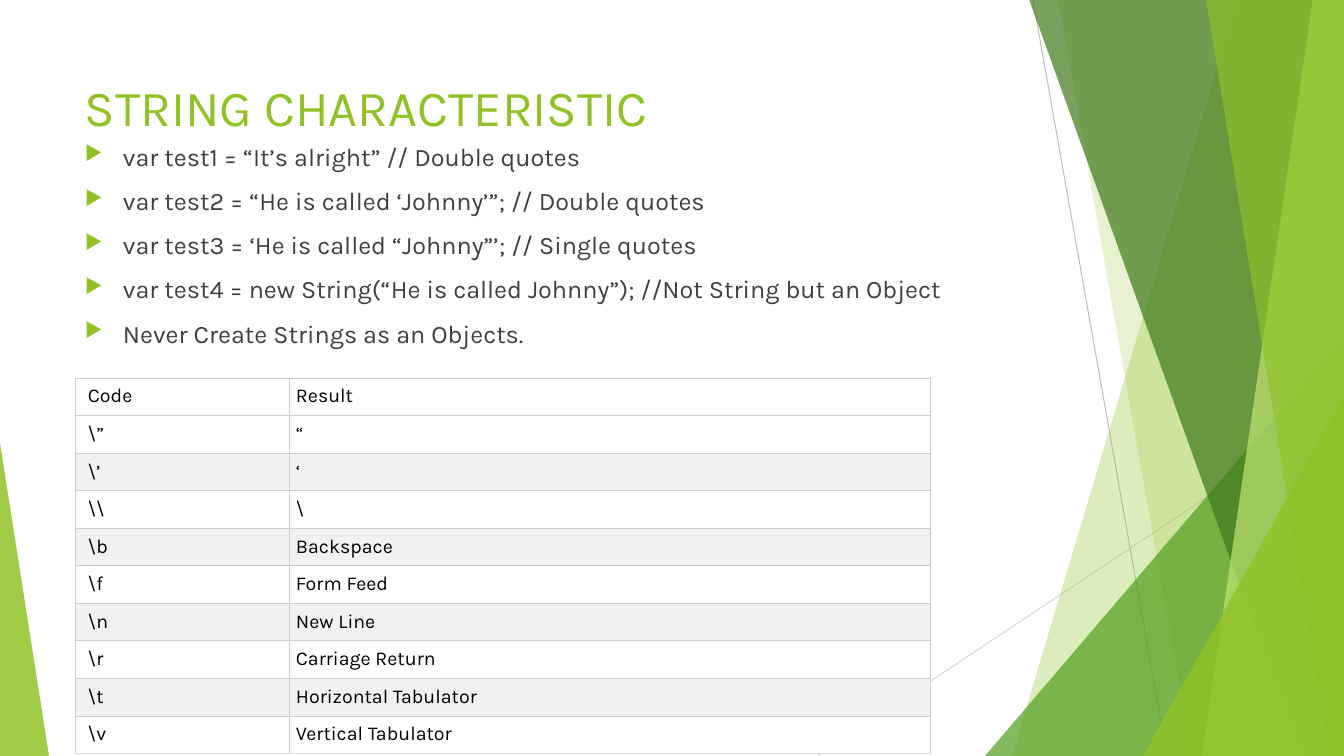
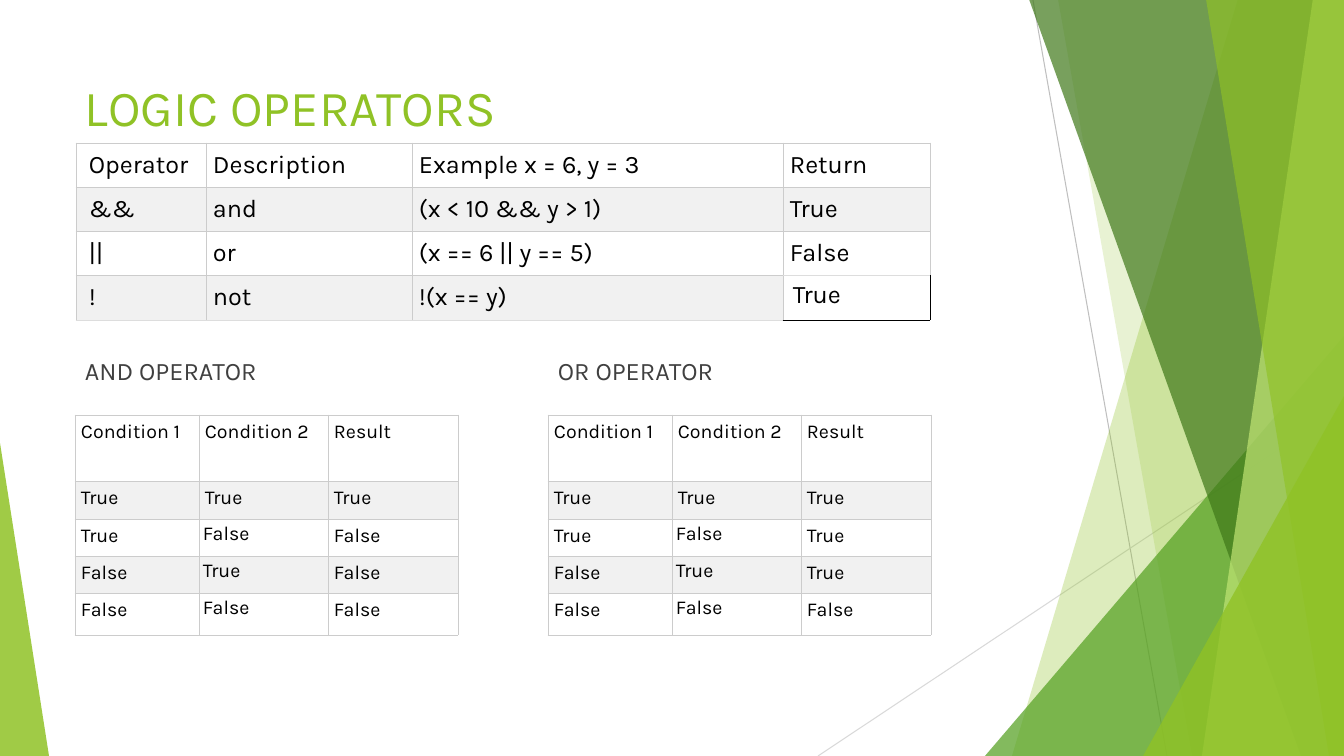
from dataclasses import dataclass

from lxml.etree import SubElement
from pptx import Presentation
from pptx.dml.color import RGBColor
from pptx.enum.shapes import MSO_CONNECTOR as Connector, MSO_SHAPE as Shape
from pptx.enum.text import MSO_ANCHOR as Anchor
from pptx.oxml.ns import qn
from pptx.oxml.xmlchemy import OxmlElement
from pptx.util import Emu, Pt

WIDTH, HEIGHT = 1344, 756
SCALE = 914400 / 100.8
SIDES = ("a:lnL", "a:lnR", "a:lnT", "a:lnB")


def px(length):
    """Turn pixels into EMU."""
    return Emu(round(length * SCALE))


@dataclass(frozen=True)
class Theme:
    """Colours, font and type sizes shared by the slides."""
    font: str = "Karla"
    title_size: int = 36
    body_size: int = 18
    small_size: int = 14
    lime: str = "90C226"
    leaf: str = "54A021"
    forest: str = "3F7819"
    pale: str = "C0E474"
    text: str = "404040"
    black: str = "000000"
    white: str = "FFFFFF"
    band: str = "F1F1F1"
    grid: str = "CCCCCC"
    grid_end: str = "DDDDDD"
    steep_line: str = "BFBFBF"
    flat_line: str = "D9D9D9"


class Deck:
    """Hold the theme and the current slide, and draw each kind of element."""

    def __init__(self, theme):
        """Start an empty widescreen presentation."""
        self.theme = theme
        self.show = Presentation()
        self.show.slide_width, self.show.slide_height = px(WIDTH), px(HEIGHT)

    def slide(self, heading):
        """Add a slide with the shared decoration and a title."""
        self.current = self.show.slides.add_slide(self.show.slide_layouts[6])
        self.decoration()
        self.text(75, 68, 948, 76, [heading], self.theme.title_size,
                  self.theme.lime, anchor=Anchor.MIDDLE)

    def decoration(self):
        """Draw the two thin lines and the green facets."""
        theme = self.theme
        self.group = self.current.shapes.add_group_shape().shapes
        self.line(1033, 0, 1167, HEIGHT, theme.steep_line)
        self.line(WIDTH, 406, 818, HEIGHT, theme.flat_line)
        self.facet(1238, 1012, theme.lime, 30)
        self.facet(1058, 1192, theme.lime, 20)
        self.triangle(985, 336, 359, 1, theme.leaf, 72)
        self.facet(1029, 1301, theme.forest, 70)
        self.facet(1313, 1202, theme.pale, 70)
        self.facet(1206, 1329, theme.lime, 65)
        self.triangle(1143, 396, 201, 1, theme.lime, 80)
        self.triangle(0, 443, 49, 0, theme.lime, 85)

    def line(self, x1, y1, x2, y2, color):
        """Draw a thin straight line."""
        line = self.group.add_connector(
            Connector.STRAIGHT, px(x1), px(y1), px(x2), px(y2))
        line.line.color.rgb = RGBColor.from_string(color)
        line.line.width = Pt(0.75)
        SubElement(line._element.spPr, qn("a:effectLst"))

    def facet(self, top_x, bottom_x, color, opacity):
        """Draw a full-height area from a slanted edge to the right side."""
        outline = self.group.build_freeform(top_x, -1, scale=SCALE)
        outline.add_line_segments(
            [(WIDTH, -1), (WIDTH, HEIGHT), (bottom_x, HEIGHT)], close=True)
        self.tint(outline.convert_to_shape(), color, opacity)

    def triangle(self, left, top, width, apex, color, opacity):
        """Draw a triangle that stands on the bottom of the slide."""
        triangle = self.group.add_shape(
            Shape.ISOSCELES_TRIANGLE, px(left), px(top), px(width), px(HEIGHT - top))
        triangle.adjustments[0] = apex
        self.tint(triangle, color, opacity)

    def tint(self, shape, color, opacity):
        """Give a shape a see-through fill without line or shadow."""
        shape.shadow.inherit = False
        shape.line.fill.background()
        shape.fill.solid()
        shape.fill.fore_color.rgb = RGBColor.from_string(color)
        tone = shape._element.spPr.find(qn("a:solidFill"))[0]
        SubElement(tone, qn("a:alpha")).set("val", str(opacity * 1000))

    def style(self, paragraph, size, color):
        """Set font, size and colour of the runs of a paragraph."""
        for run in paragraph.runs:
            run.font.name = self.theme.font
            run.font.size = Pt(size)
            run.font.color.rgb = RGBColor.from_string(color)

    def text(self, left, top, width, height, lines, size, color,
             anchor=Anchor.TOP, before=0, bulleted=False):
        """Add a text box with one paragraph a line."""
        frame = self.current.shapes.add_textbox(
            px(left), px(top), px(width), px(height)).text_frame
        frame.word_wrap = True
        frame.vertical_anchor = anchor
        frame.text = "\n".join(lines)
        for paragraph in frame.paragraphs:
            paragraph.space_before = Pt(before)
            self.style(paragraph, size, color)
            if bulleted:
                self.bullet(paragraph)

    def bullet(self, paragraph):
        """Give a paragraph the green arrow bullet."""
        props = paragraph._p.get_or_add_pPr()
        props.set("marL", str(px(38)))
        props.set("indent", str(px(-38)))
        tone = SubElement(props, qn("a:buClr"))
        SubElement(tone, qn("a:srgbClr")).set("val", self.theme.lime)
        SubElement(props, qn("a:buSzPct")).set("val", "80000")
        SubElement(props, qn("a:buChar")).set("char", "▶")

    def table(self, left, top, widths, heights, rows, size, shaded, inset, indent):
        """Add a ruled table; indent is the left inset of the first column."""
        table = self.current.shapes.add_table(
            len(rows), len(widths), px(left), px(top),
            px(sum(widths)), px(sum(heights))).table
        table.first_row = table.horz_banding = False
        for column, width in zip(table.columns, widths):
            column.width = px(width)
        for row, height in zip(table.rows, heights):
            row.height = px(height)
        for r, values in enumerate(rows):
            for c, value in enumerate(values):
                cell = table.cell(r, c)
                cell.text = value
                self.style(cell.text_frame.paragraphs[0], size, self.theme.black)
                self.inset(cell, inset if c else indent, inset)
                self.fill(cell, self.theme.band if r in shaded else self.theme.white)
                for side in SIDES:
                    self.edge(cell, side, self.theme.grid)
        return table

    def inset(self, cell, left, rest):
        """Set the inner margins of a cell."""
        cell.margin_left = px(left)
        cell.margin_top = cell.margin_right = cell.margin_bottom = px(rest)

    def fill(self, cell, color):
        """Fill a cell with one colour."""
        cell.fill.solid()
        cell.fill.fore_color.rgb = RGBColor.from_string(color)

    def edge(self, cell, side, color):
        """Set or replace one border of a cell."""
        props = cell._tc.get_or_add_tcPr()
        previous = props.find(qn(side))
        if previous is not None:
            props.remove(previous)
        border = OxmlElement(side)
        border.set("w", str(Pt(0.6)))
        tone = SubElement(border, qn("a:solidFill"))
        SubElement(tone, qn("a:srgbClr")).set("val", color)
        props.insert(SIDES.index(side), border)

    def truth_table(self, left, heading, results):
        """Add a heading and the truth table of an operator."""
        theme = self.theme
        self.text(left, 350, 251, 56, [heading], theme.body_size, theme.text, before=10)
        conditions = [(a, b) for a in ("True", "False") for b in ("True", "False")]
        rows = [("Condition 1", "Condition 2", "Result")]
        rows += [(*pair, result) for pair, result in zip(conditions, results)]
        table = self.table(left, 415, (124, 129, 130), (66, 38, 37, 37, 42), rows,
                           theme.small_size, (1, 3), 6, 6)
        for r in range(2, 5):
            self.inset(table.cell(r, 1), 4, 4)


theme = Theme()
deck = Deck(theme)

deck.slide("STRING CHARACTERISTIC")
deck.text(75, 136, 948, 552, [
    "var\u00a0test1 =\u00a0“It’s alright” // Double quotes",
    "var\u00a0test2 = “He is called ‘Johnny’”; // Double quotes",
    "var\u00a0test3 = ‘He is called “Johnny”’; // Single quotes",
    "var\u00a0test4 =\u00a0new\u00a0String(“He is called Johnny”); //Not String but an Object",
    "Never Create Strings as an Objects.",
], theme.body_size, theme.text, before=10, bulleted=True)
escapes = [
    ("Code", "Result"), ("\\”", "“"), ("\\’", "‘"), ("\\\\", "\\"),
    ("\\b", "Backspace"), ("\\f", "Form Feed"), ("\\n", "New Line"),
    ("\\r", "Carriage Return"), ("\\t", "Horizontal Tabulator"),
    ("\\v", "Vertical Tabulator"),
]
escape_table = deck.table(75, 378, (214, 641), [36] * len(escapes), escapes,
                          theme.small_size, range(2, 10, 2), 7, 13)
for c in range(2):
    deck.edge(escape_table.cell(9, c), "a:lnB", theme.grid_end)

deck.slide("LOGIC OPERATORS")
operators = [
    ("Operator", "Description", "Example x = 6, y = 3", "Return"),
    ("&&", "and", "(x < 10 && y > 1)", "True"),
    ("||", "or", "(x == 6 || y == 5)", "False"),
    ("!", "not", "!(x == y)", "True"),
]
operator_table = deck.table(76, 143, (130, 206, 371, 147), [43] * len(operators),
                            operators, theme.body_size, (1, 3), 7, 13)
for c in range(3):
    deck.edge(operator_table.cell(3, c), "a:lnB", theme.grid_end)
deck.edge(operator_table.cell(2, 3), "a:lnB", theme.grid_end)
not_return = operator_table.cell(3, 3)
deck.inset(not_return, 10, 5)
deck.fill(not_return, theme.white)
deck.edge(not_return, "a:lnT", theme.grid_end)
for side in ("a:lnR", "a:lnB"):
    deck.edge(not_return, side, theme.black)

deck.truth_table(75, "AND OPERATOR", ("True", "False", "False", "False"))
deck.truth_table(548, "OR OPERATOR", ("True", "True", "True", "False"))

deck.show.save("out.pptx")
